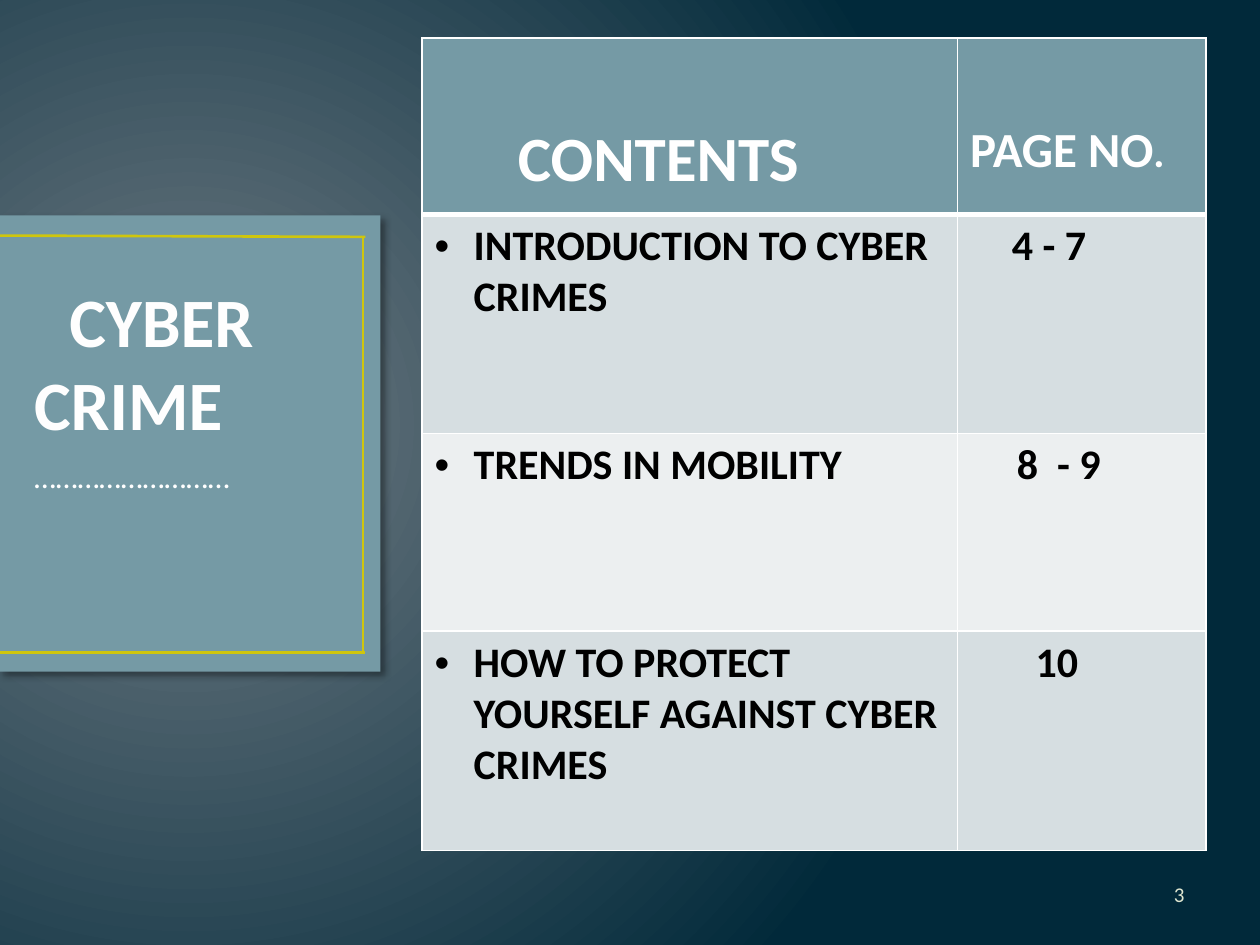
import pptx
import pptx.util
import pptx.dml.color
import pptx.enum.shapes
import pptx.enum.text
import pptx.oxml
from dataclasses import dataclass

Inches = pptx.util.Inches
Pt = pptx.util.Pt
Align = pptx.enum.text.PP_ALIGN
Anchor = pptx.enum.text.MSO_ANCHOR
NS = 'xmlns:a="http://schemas.openxmlformats.org/drawingml/2006/main"'


@dataclass(frozen=True)
class Theme:
    """Colours, font and type sizes."""
    font: str = "Calibri"
    glow: str = "717C84"
    night: str = "01293A"
    panel: str = "759AA5"
    gold: str = "CFC60D"
    white: str = "FFFFFF"
    title: str = "FEFEFE"
    black: str = "000000"
    pale: str = "DFE6D0"
    bands: tuple = ("D6DEE1", "ECEFF0")
    huge: float = 39.6
    head: float = 36
    sub: float = 28
    text: float = 24
    small: float = 18
    tiny: float = 12


def rgb(code):
    """Turn a hex code into a colour."""
    return pptx.dml.color.RGBColor.from_string(code)


def xml(text):
    """Parse a drawing element, adding its namespace."""
    tag, rest = text[:text.index(">")], text[text.index(">"):]
    slash = "/" if tag.endswith("/") else ""
    return pptx.oxml.parse_xml(f"{tag.rstrip('/')} {NS}{slash}{rest}")


class Deck:
    """Holds the style and the current slide."""

    def __init__(self, theme):
        """Start a one-slide file."""
        self.theme = theme
        self.file = pptx.Presentation()
        self.file.slide_width, self.file.slide_height = Inches(10), Inches(7.5)
        self.slide = self.file.slides.add_slide(self.file.slide_layouts[1])
        self.shapes = self.slide.shapes

    def back(self):
        """Paint the radial background."""
        fill = self.slide.background.fill
        fill.gradient()
        for stop, code in zip(fill.gradient_stops, (self.theme.glow, self.theme.night)):
            stop.color.rgb = rgb(code)
        grad = self.slide.element.find(".//{*}bgPr/{*}gradFill")
        for part in grad.findall("{*}lin"):
            grad.remove(part)
        for stop, place in zip(grad.findall("{*}gsLst/{*}gs"), ("0", "100000")):
            stop.set("pos", place)
        grad.append(xml('<a:path path="circle"><a:fillToRect l="15000" t="50000" '
                        'r="85000" b="60000"/></a:path>'))

    def panel(self, x, y, w, h):
        """Add the filled panel with its soft shadow."""
        box = self.shapes.add_shape(pptx.enum.shapes.MSO_SHAPE.RECTANGLE,
                                    Inches(x), Inches(y), Inches(w), Inches(h))
        box.shadow.inherit = False
        box.fill.solid()
        box.fill.fore_color.rgb = rgb(self.theme.panel)
        box.line.fill.background()
        box.element.spPr.find("{*}effectLst").append(xml(
            '<a:outerShdw blurRad="50800" dist="38100" dir="2700000">'
            '<a:srgbClr val="000000"><a:alpha val="40000"/></a:srgbClr></a:outerShdw>'))

    def rule(self, x1, y1, x2, y2):
        """Add a thin gold line."""
        line = self.shapes.add_connector(pptx.enum.shapes.MSO_CONNECTOR.STRAIGHT,
                                         Inches(x1), Inches(y1), Inches(x2), Inches(y2))
        line.line.color.rgb = rgb(self.theme.gold)
        line.line.width = Pt(1.5)
        line.element.spPr.append(xml("<a:effectLst/>"))

    def style(self, para, size, code, bold=False):
        """Format every run of a paragraph."""
        for run in para.runs:
            run.font.name, run.font.size, run.font.bold = self.theme.font, Pt(size), bold
            run.font.color.rgb = rgb(code)

    def put(self, shape, text, at, size, code, anchor, bold=False, align=Align.LEFT):
        """Place a text shape in front and fill it."""
        shape.left, shape.top, shape.width, shape.height = map(Inches, at)
        shape.element.getparent().append(shape.element)
        frame = shape.text_frame
        frame.text = text
        frame.word_wrap = True
        frame.auto_size = pptx.enum.text.MSO_AUTO_SIZE.NONE
        frame.vertical_anchor = anchor
        para = frame.paragraphs[0]
        para.alignment = align
        self.style(para, size, code, bold)
        return para

    def indent(self, para, left, first, mark=None):
        """Set the indents and the bullet of a paragraph."""
        props = para._p.get_or_add_pPr()
        props.set("marL", str(Inches(left)))
        props.set("indent", str(Inches(first)))
        if mark:
            props.append(xml('<a:buFont typeface="Arial"/>'))
            props.append(xml(f'<a:buChar char="{mark}"/>'))
        else:
            props.append(xml("<a:buNone/>"))

    def edge(self, cell, foot):
        """Draw white borders round a cell, in points."""
        props = cell._tc.get_or_add_tcPr()
        widths = {"lnL": 1, "lnR": 1, "lnT": 1, "lnB": foot}
        for i, (side, width) in enumerate(widths.items()):
            props.insert(i, xml(
                f'<a:{side} w="{Pt(width)}"><a:solidFill>'
                f'<a:srgbClr val="{self.theme.white}"/></a:solidFill></a:{side}>'))

    def cell(self, cell, text, size, code, fill, left=0.1, top=0.05, foot=1):
        """Fill and format one table cell."""
        cell.text = text
        cell.margin_left, cell.margin_top = Inches(left), Inches(top)
        cell.fill.solid()
        cell.fill.fore_color.rgb = rgb(fill)
        self.edge(cell, foot)
        para = cell.text_frame.paragraphs[0]
        self.style(para, size, code, True)
        return para

    def table(self, x, y, cols, rows, heads, items):
        """Add the table of contents."""
        look = self.theme
        grid = self.shapes.add_table(len(rows), len(cols), Inches(x), Inches(y),
                                     Inches(sum(cols)), Inches(sum(rows))).table
        grid.first_row = grid.horz_banding = False
        for col, width in zip(grid.columns, cols):
            col.width = Inches(width)
        for row, height in zip(grid.rows, rows):
            row.height = Inches(height)
        for i, (text, size, left) in enumerate(heads):
            para = self.cell(grid.cell(0, i), text, size, look.white, look.panel,
                             left, 0.66, 3)
        dot = para.add_run()
        dot.text = "."
        self.style(para, look.sub, look.white, True)
        dot.font.size = Pt(look.text)
        for i, (topic, pages, left) in enumerate(items):
            fill = look.bands[i % 2]
            para = self.cell(grid.cell(i + 1, 0), topic, look.text, look.black, fill)
            self.indent(para, 0.31, -0.31, "\u2022")
            self.cell(grid.cell(i + 1, 1), pages, look.text, look.black, fill, left)


def main():
    """Build the contents slide."""
    look = Theme()
    deck = Deck(look)
    deck.back()
    deck.panel(0, 1.71, 3.02, 3.62)
    deck.rule(2.88, 1.87, 2.88, 5.17)
    deck.rule(0, 1.87, 2.9, 1.88)
    deck.rule(0, 5.18, 2.9, 5.18)
    deck.table(3.35, 0.3, (4.25, 1.97), (1.4, 1.74, 1.57, 1.74),
               (("CONTENTS", look.head, 0.76), ("PAGE NO", look.sub, 0.1)),
               (("INTRODUCTION TO CYBER CRIMES", "4 - 7", 0.43),
                ("TRENDS IN MOBILITY", "8  - 9", 0.47),
                ("HOW TO PROTECT YOURSELF AGAINST CYBER CRIMES", "10", 0.62)))
    page = deck.shapes.add_textbox(0, 0, 0, 0)
    deck.put(page, "3", (7.17, 6.9, 2.33, 0.4), look.tiny, look.pale,
             Anchor.MIDDLE, align=Align.RIGHT)
    title, body = deck.shapes.title, deck.slide.placeholders[1]
    para = deck.put(title, "CYBER CRIME", (0.17, 2.08, 2.6, 1.5), look.huge,
                    look.title, Anchor.BOTTOM, True)
    deck.indent(para, 0, 0.28)
    para = deck.put(body, "\u2026" * 9, (0.17, 3.58, 2.6, 1.5), look.small,
                    look.white, Anchor.TOP)
    deck.indent(para, 0, 0)
    deck.file.save("out.pptx")


main()
